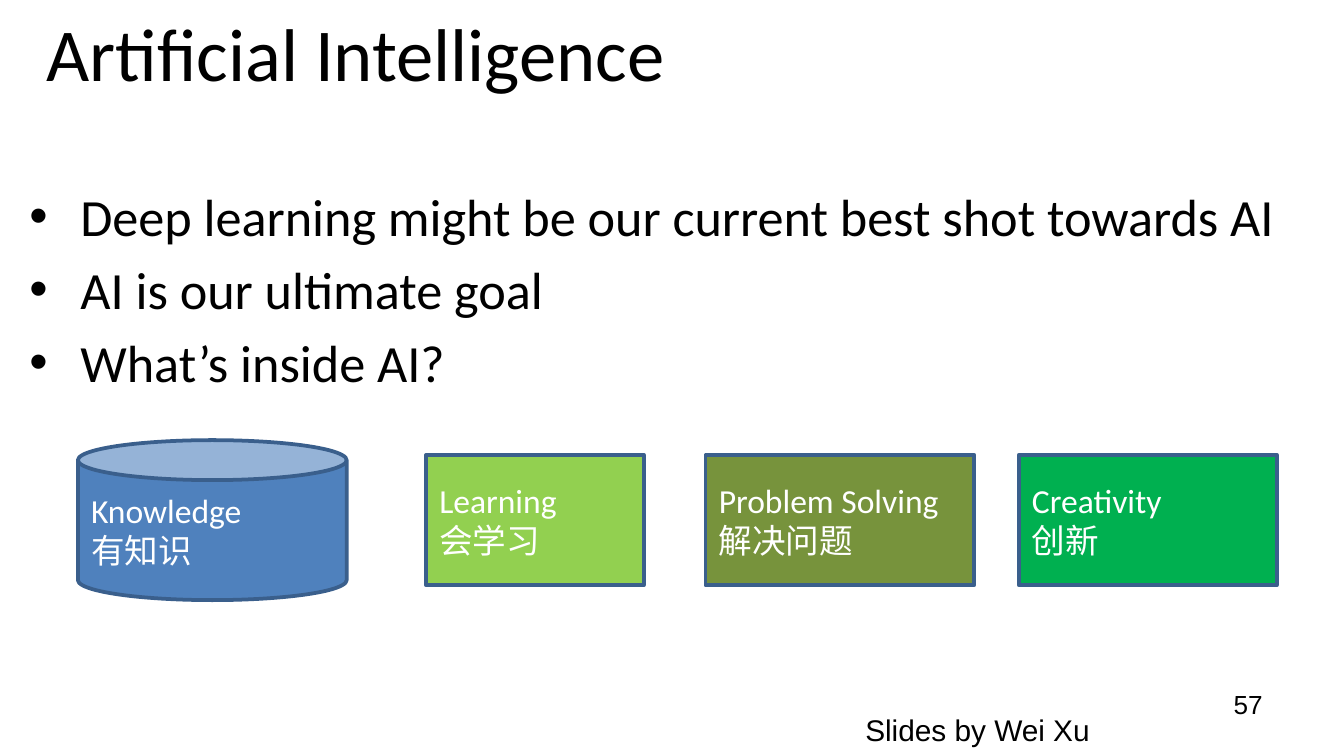
from dataclasses import dataclass

from lxml import etree
from pptx import Presentation
from pptx.dml.color import RGBColor
from pptx.enum import shapes, text
from pptx.oxml.ns import qn
from pptx.util import Inches, Pt


@dataclass
class Theme:
    ink: str = "000000"
    white: str = "FFFFFF"
    edge: str = "3A5F8C"
    blue: str = "4F81BD"
    lime: str = "92D050"
    olive: str = "77933C"
    green: str = "00B050"
    head: int = 40
    body: int = 28
    label: int = 18
    foot: int = 16
    page: int = 14
    main: str = "Calibri"
    plain: str = "Arial"


theme = Theme()
TOP, MID = text.MSO_ANCHOR.TOP, text.MSO_ANCHOR.MIDDLE


def write(shape, lines, size, font=theme.main, color=theme.ink,
          anchor=TOP, bullet=False, gap=0):
    frame = shape.text_frame
    frame.word_wrap = True
    frame.vertical_anchor = anchor
    for i, line in enumerate(lines):
        para = frame.paragraphs[0] if i == 0 else frame.add_paragraph()
        para.alignment = text.PP_ALIGN.LEFT
        if i:
            para.space_before = Pt(gap)
        if bullet:
            props = para._p.get_or_add_pPr()
            props.set("marL", str(Inches(0.38)))
            props.set("indent", str(Inches(-0.38)))
            etree.SubElement(props, qn("a:buFont"), typeface="Arial")
            etree.SubElement(props, qn("a:buChar"), char="•")
        run = para.add_run()
        run.text = line
        run.font.size = Pt(size)
        run.font.name = font
        run.font.color.rgb = RGBColor.from_string(color)


# A 16:9 slide
deck = Presentation()
deck.slide_width, deck.slide_height = Inches(10), Inches(10 * 9 / 16)
slide = deck.slides.add_slide(deck.slide_layouts[6])


def box(*place):
    return slide.shapes.add_textbox(*map(Inches, place))


# Bullets and title
points = [
    "Deep learning might be our current best shot towards AI",
    "AI is our ultimate goal",
    "What’s inside AI?",
]
write(box(0.12, 1.32, 10.08, 3.81), points, theme.body, bullet=True, gap=5.6)
write(box(0.25, 0, 6.67, 0.81), ["Artificial Intelligence"], theme.head)

# Parts of AI, centred on one line
KIND = shapes.MSO_SHAPE
axis = 3.87
parts = [
    (KIND.CAN, 0.58, 2, 1.19, theme.blue, ["Knowledge", "有知识"]),
    (KIND.RECTANGLE, 3.17, 1.62, 0.97, theme.lime, ["Learning", "会学习"]),
    (KIND.RECTANGLE, 5.25, 2, 0.97, theme.olive, ["Problem Solving", "解决问题"]),
    (KIND.RECTANGLE, 7.58, 1.92, 0.97, theme.green, ["Creativity", "创新"]),
]
for kind, left, width, height, fill, lines in parts:
    place = map(Inches, (left, axis - height / 2, width, height))
    part = slide.shapes.add_shape(kind, *place)
    part.shadow.inherit = False
    part.fill.solid()
    part.fill.fore_color.rgb = RGBColor.from_string(fill)
    part.line.color.rgb = RGBColor.from_string(theme.edge)
    part.line.width = Pt(2)
    write(part, lines, theme.label, color=theme.white, anchor=MID)

# Page number and credit
write(box(9.08, 5.07, 0.77, 0.31), ["57"], theme.page, font=theme.plain)
write(box(6.34, 5.25, 2.36, 0.37), ["Slides by Wei Xu"], theme.foot, font=theme.plain)

deck.save("out.pptx")
